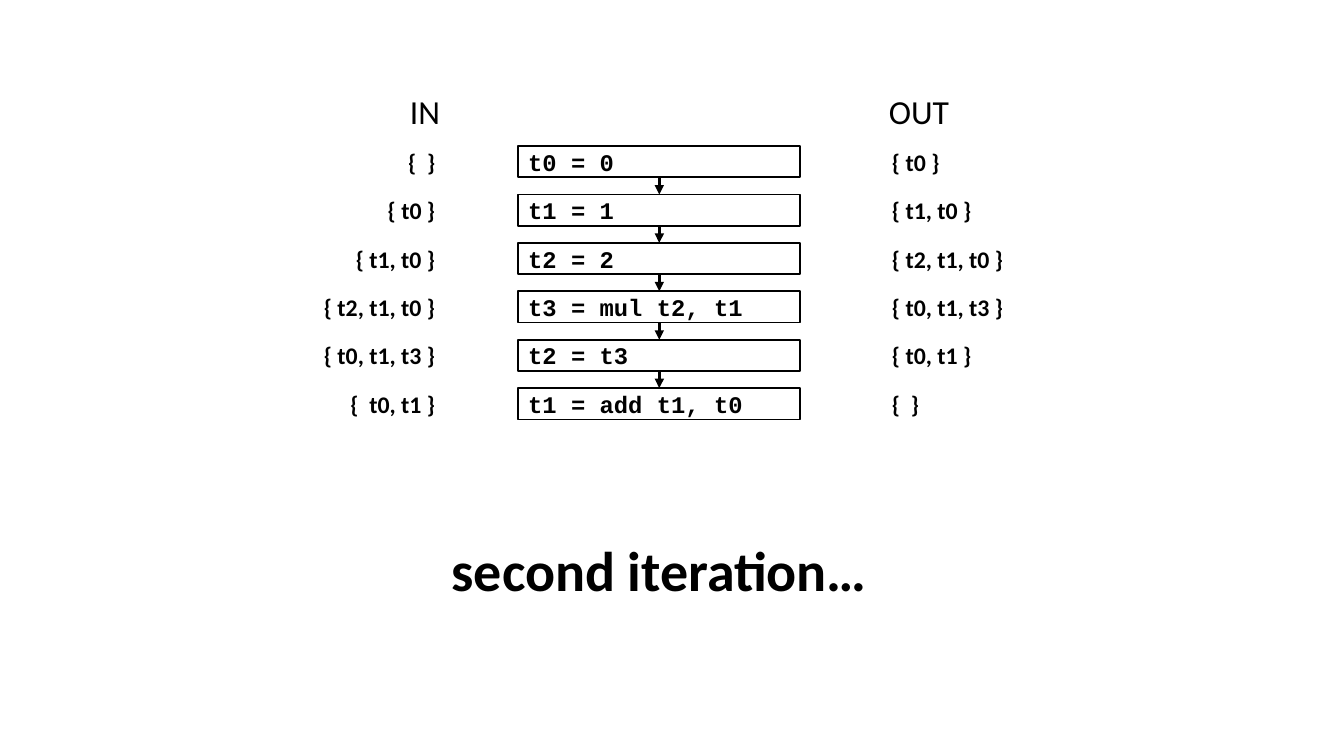
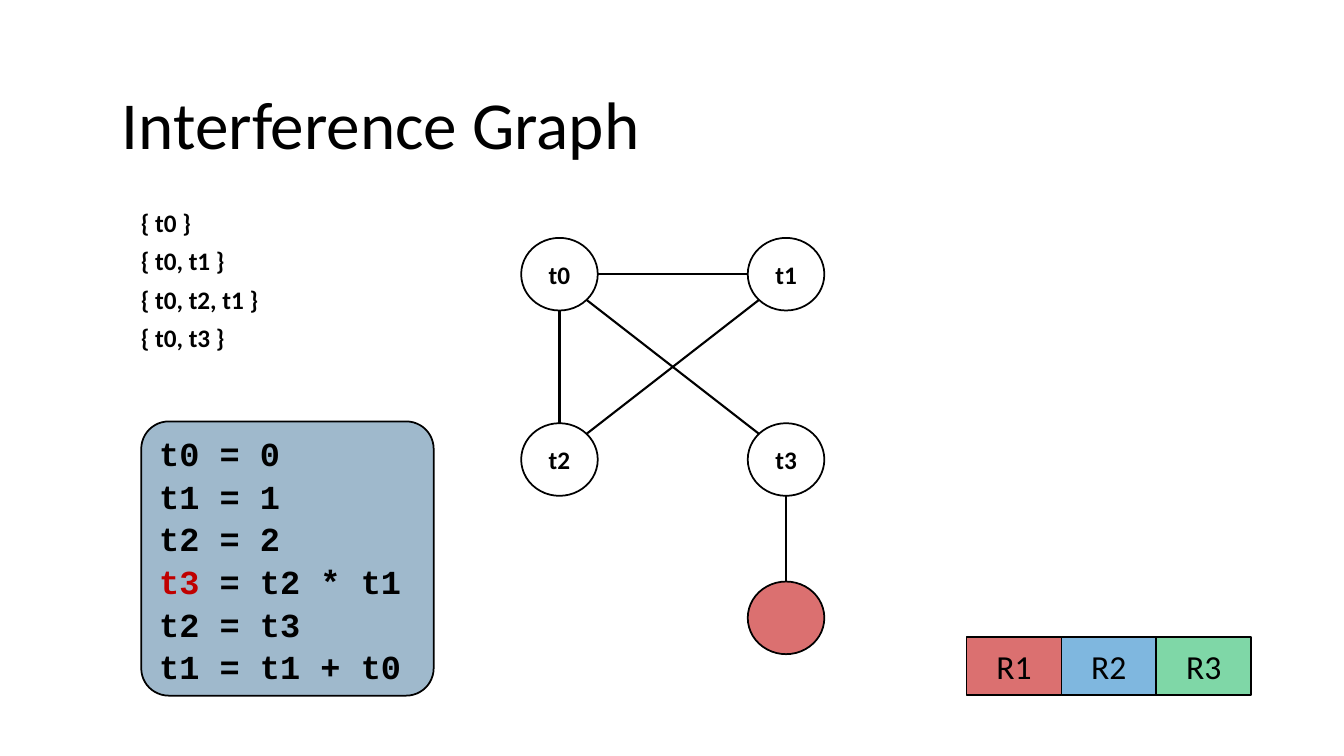
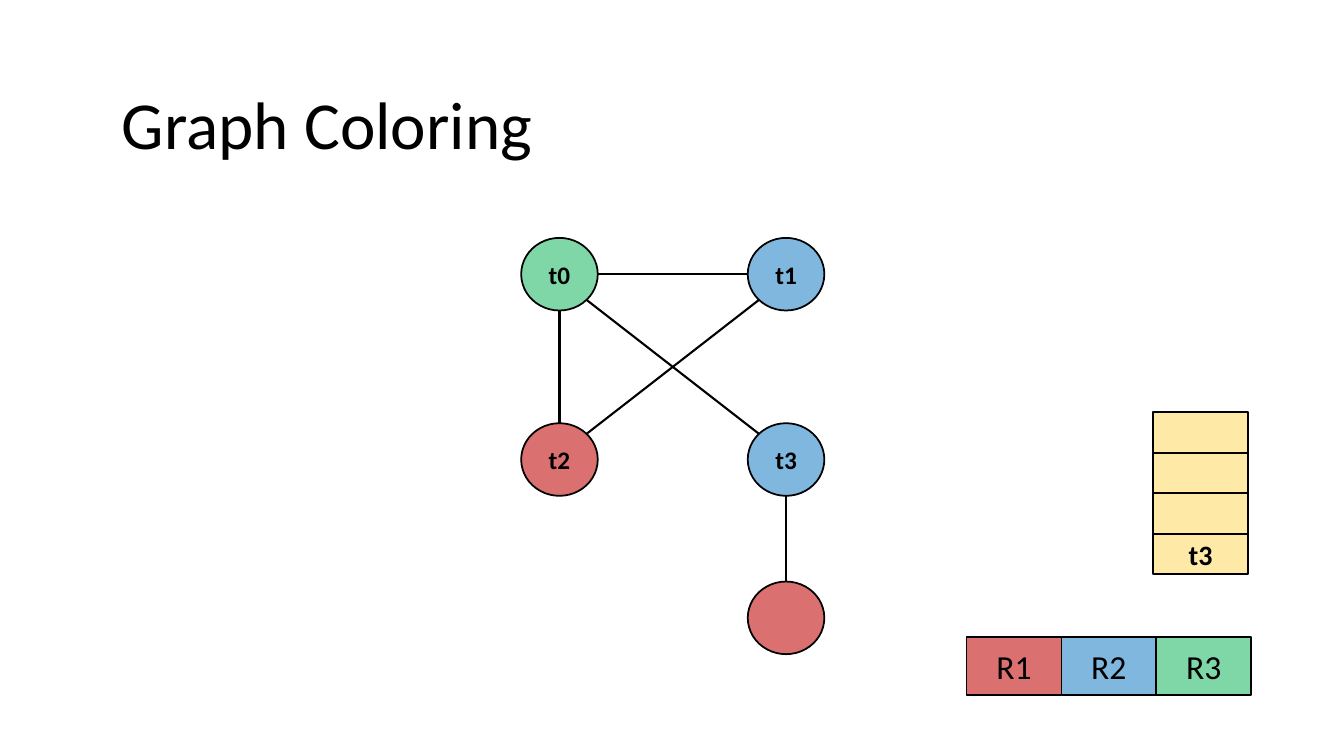
from math import sqrt

from lxml.etree import SubElement
from pptx import Presentation
from pptx.dml.color import RGBColor
from pptx.enum.shapes import MSO_CONNECTOR, MSO_SHAPE
from pptx.enum.text import MSO_ANCHOR, MSO_AUTO_SIZE, PP_ALIGN
from pptx.oxml.ns import qn
from pptx.util import Cm, Pt

LEFT, CENTER, RIGHT = PP_ALIGN.LEFT, PP_ALIGN.CENTER, PP_ALIGN.RIGHT
TOP, MIDDLE = MSO_ANCHOR.TOP, MSO_ANCHOR.MIDDLE
RECTANGLE, ROUNDED, OVAL = MSO_SHAPE.RECTANGLE, MSO_SHAPE.ROUNDED_RECTANGLE, MSO_SHAPE.OVAL
STRAIGHT = MSO_CONNECTOR.STRAIGHT
RECT_TOP_SITE, RECT_BOTTOM_SITE = 0, 2
TITLE_ONLY, BLANK = 5, 6

COLORS = {"black": "000000", "white": "FFFFFF", "red": "C00000", "blue": "0070C0",
          "green": "00B050", "amber": "FFC000", "steel": "40749B"}
OPACITY = {"red": 56, "blue": 50, "green": 50, "amber": 35, "steel": 50}
SANS, MONO = "Calibri", "Courier New"

# Centres of the graph nodes, in centimetres
NODES = {"t0": (14.1, 6.91), "t1": (19.81, 6.91), "t2": (14.1, 11.58),
         "t3": (19.81, 11.58), "fixed": (19.81, 15.57)}
EDGES = [("t0", "t1"), ("t0", "t2"), ("t1", "t2"), ("t0", "t3"), ("t3", "fixed")]
NODE_WIDTH, NODE_HEIGHT = 1.93, 1.83

LIVENESS = [
    ("{  }", "t0 = 0", "{ t0 }"),
    ("{ t0 }", "t1 = 1", "{ t1, t0 }"),
    ("{ t1, t0 }", "t2 = 2", "{ t2, t1, t0 }"),
    ("{ t2, t1, t0 }", "t3 = mul t2, t1", "{ t0, t1, t3 }"),
    ("{ t0, t1, t3 }", "t2 = t3", "{ t0, t1 }"),
    ("{  t0, t1 }", "t1 = add t1, t0", "{  }"),
]
LIVE_SETS = ["{ t0 }", "{ t0, t1 }", "{ t0, t2, t1 }", "{ t0, t3 }"]
PROGRAM = [
    [("t0 = 0", "black")],
    [("t1 = 1", "black")],
    [("t2 = 2", "black")],
    [("t3", "red"), (" = t2 * t1", "black")],
    [("t2 = t3", "black")],
    [("t1 = t1 + t0", "black")],
]


def rgb(name):
    return RGBColor.from_string(COLORS[name])


class Deck:
    """Holds the shared style and the slide being drawn; lengths are centimetres."""

    def __init__(self):
        self.deck = Presentation()
        self.deck.slide_width, self.deck.slide_height = Cm(33.87), Cm(19.05)
        self.page = None

    def new_page(self, title=None):
        layout = self.deck.slide_layouts[BLANK if title is None else TITLE_ONLY]
        self.page = self.deck.slides.add_slide(layout)
        if title is not None:
            box = self.page.shapes.title
            box.left, box.top, box.width, box.height = Cm(2.82), Cm(1.93), Cm(28.17), Cm(2.31)
            box.text_frame.auto_size = MSO_AUTO_SIZE.NONE
            self.set_text(box.text_frame, title, 48)

    def set_text(self, frame, text, size, font=SANS, bold=False, align=LEFT, anchor=MIDDLE):
        frame.word_wrap = True
        frame.vertical_anchor = anchor
        frame.text = text
        para = frame.paragraphs[0]
        para.alignment = align
        self.set_font(para, size, font, bold)

    def set_font(self, para, size, font, bold):
        para.font.name, para.font.size, para.font.bold = font, Pt(size), bold
        para.font.color.rgb = rgb("black")

    def label(self, left, top, width, height, text, size, **style):
        box = self.page.shapes.add_textbox(Cm(left), Cm(top), Cm(width), Cm(height))
        self.set_text(box.text_frame, text, size, anchor=TOP, **style)

    def box(self, left, top, width, height, text="", size=18, kind=RECTANGLE,
            fill="white", outline="black", opacity=None, **style):
        shape = self.page.shapes.add_shape(kind, Cm(left), Cm(top), Cm(width), Cm(height))
        shape.shadow.inherit = False
        shape.fill.solid()
        shape.fill.fore_color.rgb = rgb(fill)
        opacity = opacity or OPACITY.get(fill)
        if opacity:
            color = shape.element.spPr.find(qn("a:solidFill"))[0]
            SubElement(color, qn("a:alpha"), val=str(opacity * 1000))
        shape.line.color.rgb = rgb(outline)
        shape.line.width = Pt(1.25)
        if text:
            self.set_text(shape.text_frame, text, size, **style)
        return shape

    def line(self, x1, y1, x2, y2, width=1.5):
        connector = self.page.shapes.add_connector(STRAIGHT, Cm(x1), Cm(y1), Cm(x2), Cm(y2))
        connector.line.color.rgb = rgb("black")
        connector.line.width = Pt(width)
        SubElement(connector.element.spPr, qn("a:effectLst"))
        return connector

    def arrow_down(self, upper, lower):
        connector = self.line(0, 0, 0, 0, width=2.25)
        connector.begin_connect(upper, RECT_BOTTOM_SITE)
        connector.end_connect(lower, RECT_TOP_SITE)
        outline = connector.element.spPr.find(qn("a:ln"))
        SubElement(outline, qn("a:tailEnd"), type="triangle")

    def edge(self, start, end):
        """Join two nodes, from rim to rim, at multiples of 45 degrees on the ovals."""
        (x1, y1), (x2, y2) = NODES[start], NODES[end]
        step_x, step_y = (x2 > x1) - (x2 < x1), (y2 > y1) - (y2 < y1)
        reach = sqrt(step_x ** 2 + step_y ** 2)
        rim_x = step_x / reach * NODE_WIDTH / 2
        rim_y = step_y / reach * NODE_HEIGHT / 2
        self.line(x1 + rim_x, y1 + rim_y, x2 - rim_x, y2 - rim_y)

    def graph(self, fills):
        for name, (x, y) in NODES.items():
            fill = fills.get(name, "white")
            self.box(x - NODE_WIDTH / 2, y - NODE_HEIGHT / 2, NODE_WIDTH, NODE_HEIGHT,
                     "" if name == "fixed" else name, kind=OVAL, fill=fill,
                     opacity=47 if fill == "white" else None, bold=True, align=CENTER)
        for start, end in EDGES:
            self.edge(start, end)

    def registers(self):
        width = 2.39
        for index, fill in enumerate(["red", "blue", "green"]):
            self.box(24.36 + index * width, 16.05, width, 1.47, f"R{index + 1}", 24,
                     fill=fill, align=CENTER)

    def program(self):
        box = self.box(3.56, 10.62, 7.37, 6.91, kind=ROUNDED, fill="steel")
        box.adjustments[0] = 0.1
        frame = box.text_frame
        frame.vertical_anchor = MIDDLE
        for index, spans in enumerate(PROGRAM):
            para = frame.add_paragraph() if index else frame.paragraphs[0]
            para.alignment = LEFT
            para.line_spacing = 1.06
            self.set_font(para, 24, MONO, True)
            for text, color in spans:
                span = para.add_run()
                span.text = text
                span.font.color.rgb = rgb(color)


def liveness_page(deck):
    deck.new_page()
    deck.label(10.08, 2.16, 1.55, 1.27, "IN", 24)
    deck.label(22.15, 2.16, 2.08, 1.27, "OUT", 24)
    height, above = 0.79, None
    for index, (live_in, code, live_out) in enumerate(LIVENESS):
        top = 3.68 + index * 1.22
        deck.box(4.57, top, 6.65, height, live_in, 17, outline="white", bold=True, align=RIGHT)
        statement = deck.box(13.06, top, 7.11, height, code, 17, font=MONO, bold=True)
        deck.box(22.23, top, 6.65, height, live_out, 17, outline="white", bold=True)
        if above is not None:
            deck.arrow_down(above, statement)
        above = statement
    deck.label(10.01, 13.36, 13.21, 1.96, "second iteration…", 40, bold=True, align=CENTER)


def interference_page(deck):
    deck.new_page("Interference Graph")
    for index, live in enumerate(LIVE_SETS):
        deck.box(3.3, 5.21 + index * 0.97, 3.61, 0.79, live, outline="white", bold=True)
    deck.graph({"fixed": "red"})
    deck.program()
    deck.registers()


def coloring_page(deck):
    deck.new_page("Graph Coloring")
    deck.graph({"t0": "green", "t1": "blue", "t2": "red", "t3": "blue", "fixed": "red"})
    deck.registers()
    height = 1.02
    for index, entry in enumerate(["", "", "", "t3"]):
        deck.box(29.06, 10.39 + index * height, 2.39, height, entry, 20,
                 fill="amber", bold=True, align=CENTER)


def main():
    deck = Deck()
    liveness_page(deck)
    interference_page(deck)
    coloring_page(deck)
    deck.deck.save("out.pptx")


if __name__ == "__main__":
    main()
